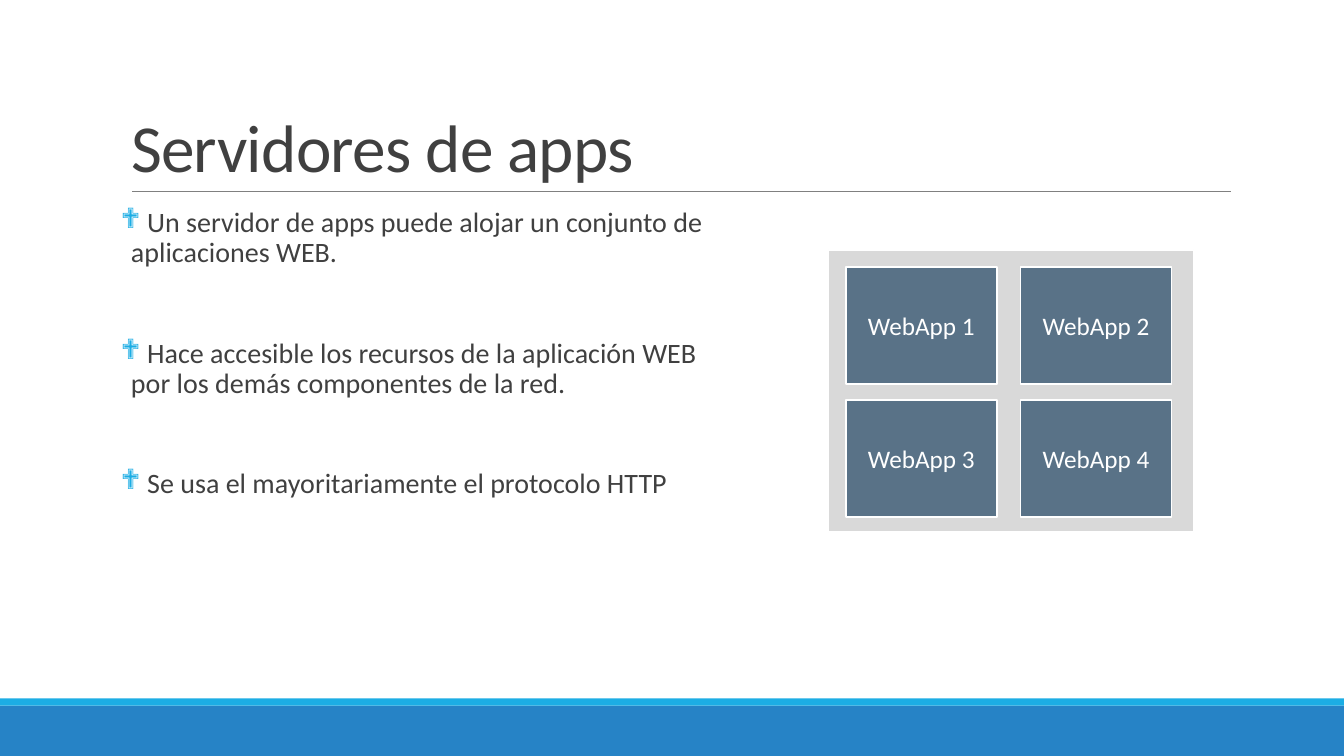
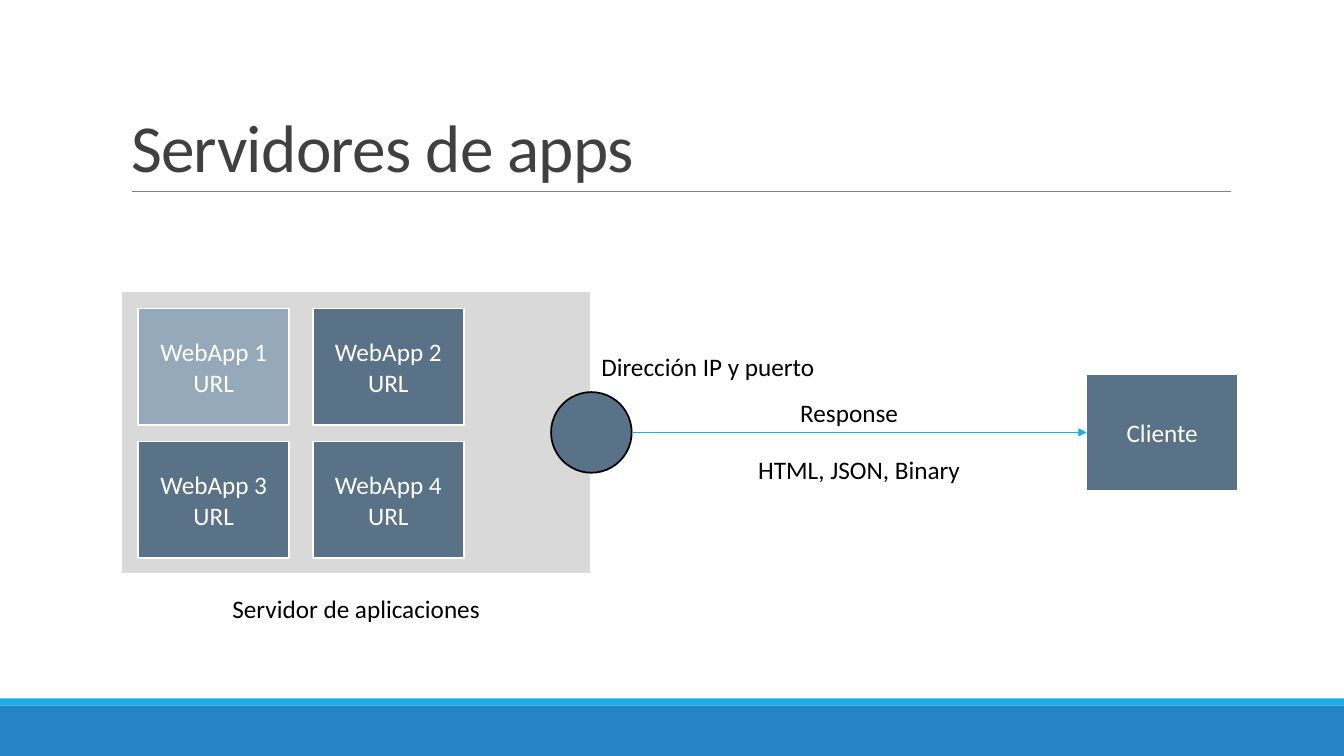
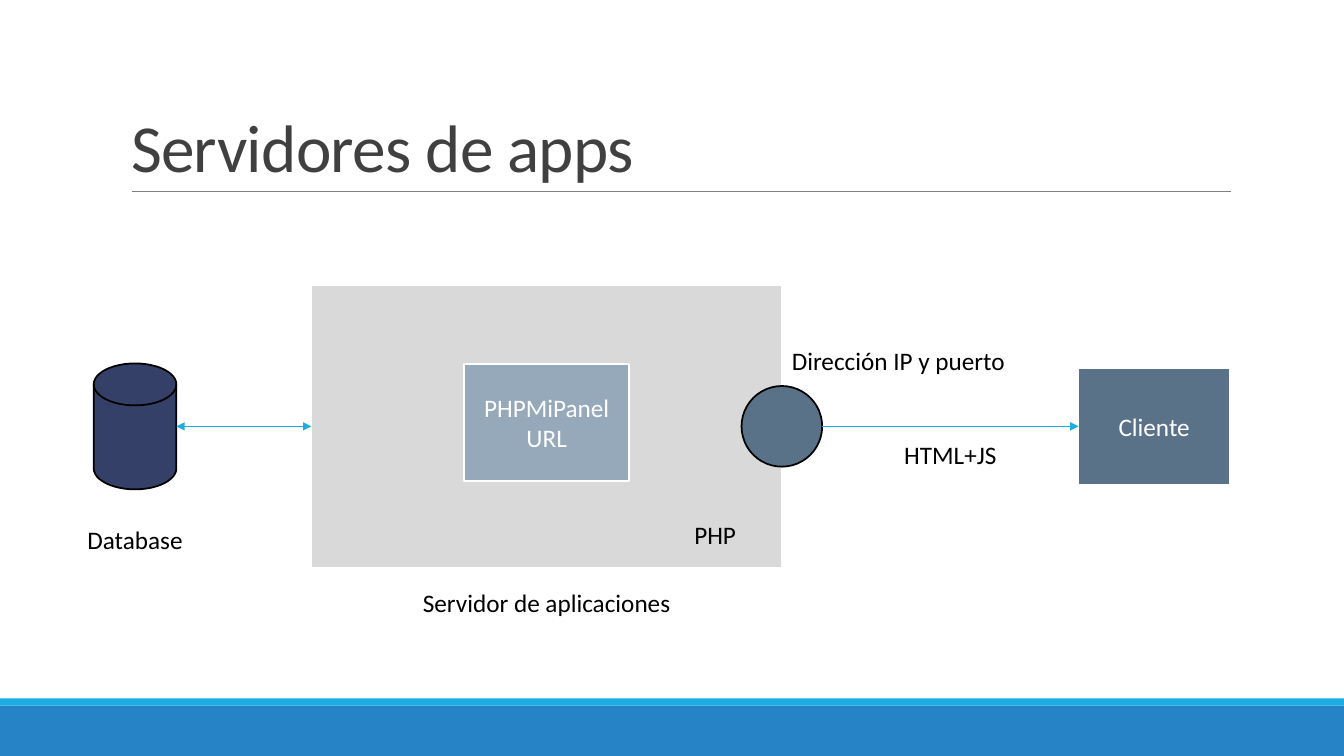
from lxml.etree import SubElement
from pptx import Presentation
from pptx.dml.color import RGBColor
from pptx.enum.shapes import MSO_CONNECTOR, MSO_SHAPE
from pptx.enum.text import MSO_ANCHOR, PP_ALIGN
from pptx.oxml.ns import qn
from pptx.util import Inches, Pt

# Shared grid: 40 columns by 30 rows
SLIDE_WIDTH, SLIDE_HEIGHT = Inches(13.33), Inches(7.5)
COLUMNS, ROWS = 40, 30

# Shared style
FONT = "Calibri"
WHITE, BLACK, DARK_GRAY, RULE_GRAY, PANEL_GRAY = "FFFFFF", "000000", "404040", "808080", "D9D9D9"
BLUE, CYAN, SLATE, LIGHT_SLATE, NAVY = "2683C6", "1CADE4", "597287", "96A9BA", "344068"
TITLE = "Servidores de apps"
TITLE_BOX = (3.6, 1.24, 33, 6.36)

# Shared part sizes, in columns and rows
APP_WIDTH, APP_HEIGHT = 4.5, 4.64
APP_MARGIN = (0.51, 0.68)
APP_PITCH = (5.2, 5.28)
SERVER_WIDTH, SERVER_HEIGHT = 14, 11.2
PORT_WIDTH, PORT_HEIGHT = 2.4, 3.2
LABEL_HEIGHT = 1.6


def color(value):
    return RGBColor.from_string(value)


def x_of(columns):
    return round(SLIDE_WIDTH * columns / COLUMNS)


def y_of(rows):
    return round(SLIDE_HEIGHT * rows / ROWS)


def box(left, top, width, height):
    return x_of(left), y_of(top), x_of(width), y_of(height)


def write_text(shape, text, size=18, ink=BLACK, align=PP_ALIGN.LEFT, anchor=MSO_ANCHOR.TOP,
               wrap=True, line_spacing=None, tracking=None):
    """Fill a shape with one paragraph for each line of text."""
    frame = shape.text_frame
    frame.word_wrap = wrap
    frame.vertical_anchor = anchor
    frame.text = text
    for paragraph in frame.paragraphs:
        paragraph.alignment = align
        if line_spacing:
            paragraph.line_spacing = line_spacing
        for run in paragraph.runs:
            run.font.name = FONT
            run.font.size = Pt(size)
            run.font.color.rgb = color(ink)
            if tracking:
                run.font._element.set("spc", str(tracking))
    return frame


def add_block(slide, place, fill, line=WHITE, text=None, kind=MSO_SHAPE.RECTANGLE):
    shape = slide.shapes.add_shape(kind, *box(*place))
    shape.shadow.inherit = False
    shape.fill.solid()
    shape.fill.fore_color.rgb = color(fill)
    if line:
        shape.line.color.rgb = color(line)
        shape.line.width = Pt(1.25)
    else:
        shape.line.fill.background()
    if text:
        write_text(shape, text, ink=WHITE, align=PP_ALIGN.CENTER, anchor=MSO_ANCHOR.MIDDLE)
    return shape


def add_label(slide, place, text, **text_format):
    label = slide.shapes.add_textbox(*box(*place))
    write_text(label, text, **text_format)
    return label


def add_centered_label(slide, center, top, width, text, **text_format):
    place = (center - width / 2, top, width, LABEL_HEIGHT)
    return add_label(slide, place, text, align=PP_ALIGN.CENTER, **text_format)


def add_line(slide, start, end, row, ink=CYAN, width=1, arrows=()):
    line = slide.shapes.add_connector(MSO_CONNECTOR.STRAIGHT, x_of(start), y_of(row),
                                      x_of(end), y_of(row))
    line.line.color.rgb = color(ink)
    line.line.width = Pt(width)
    outline = line.line._get_or_add_ln()
    for arrow in arrows:
        SubElement(outline, qn(f"a:{arrow}")).set("type", "triangle")
    SubElement(line._element.spPr, qn("a:effectLst"))


def add_titled_slide(presentation):
    slide = presentation.slides.add_slide(presentation.slide_layouts[5])
    # Bottom bands and title rule
    add_block(slide, (0, 28, COLUMNS, 2), BLUE, line=None)
    add_block(slide, (0, 27.72, COLUMNS, 0.28), CYAN, line=None)
    add_line(slide, 3.93, 36.63, 7.6, ink=RULE_GRAY, width=0.5)
    # Title
    title = slide.shapes.title
    title.left, title.top, title.width, title.height = box(*TITLE_BOX)
    write_text(title, TITLE, size=48, ink=DARK_GRAY, anchor=MSO_ANCHOR.BOTTOM,
               line_spacing=0.85, tracking=-50)
    return slide


def add_bullets(slide, place, items):
    body = add_label(slide, place, "\n".join(items), size=20, ink=DARK_GRAY, line_spacing=0.9)
    frame = body.text_frame
    frame.margin_left = frame.margin_right = 0
    for index, paragraph in enumerate(frame.paragraphs):
        paragraph.space_before = Pt(48 if index else 0)
        paragraph.space_after = Pt(2)
        properties = paragraph._p.get_or_add_pPr()
        properties.set("marL", str(Inches(0.1)))
        properties.set("indent", str(-Inches(0.1)))
        bullet_color = SubElement(properties, qn("a:buClr"))
        SubElement(bullet_color, qn("a:srgbClr")).set("val", CYAN)
        SubElement(properties, qn("a:buFont")).set("typeface", "Wingdings")
        SubElement(properties, qn("a:buChar")).set("char", "❖")


def add_app_grid(slide, left, top, suffix="", highlighted=None):
    """Two by two web apps inside the server at left, top."""
    for index in range(4):
        row, column = divmod(index, 2)
        place = (left + APP_MARGIN[0] + column * APP_PITCH[0],
                 top + APP_MARGIN[1] + row * APP_PITCH[1], APP_WIDTH, APP_HEIGHT)
        fill = LIGHT_SLATE if index == highlighted else SLATE
        add_block(slide, place, fill, text=f"WebApp {index + 1}{suffix}")


def add_server_and_client(slide, left, top, client_left, messages):
    """Server with its port, the client and the messages along the arrow.

    Each message is text, shift from the arrow's middle, rows below top, width.
    """
    right = left + SERVER_WIDTH
    middle = top + SERVER_HEIGHT / 2
    port_right = right + PORT_WIDTH / 2
    # Server and port
    add_block(slide, (left, top, SERVER_WIDTH, SERVER_HEIGHT), PANEL_GRAY)
    add_block(slide, (right - PORT_WIDTH / 2, middle - PORT_HEIGHT / 2, PORT_WIDTH, PORT_HEIGHT),
              SLATE, line=BLACK, kind=MSO_SHAPE.OVAL)
    add_label(slide, (right, top + 2.18, 7.56, LABEL_HEIGHT), "Dirección IP y puerto")
    add_centered_label(slide, left + SERVER_WIDTH / 2, top + 11.8, 10.05,
                       "Servidor de aplicaciones")
    # Client and arrow
    add_block(slide, (client_left, middle - APP_HEIGHT / 2, APP_WIDTH, APP_HEIGHT), SLATE,
              text="Cliente")
    add_line(slide, port_right, client_left, middle, arrows=["tailEnd"])
    for text, shift, row, width in messages:
        add_centered_label(slide, (port_right + client_left) / 2 + shift, top + row, width, text)


def add_database(slide, center, middle, server_left):
    width, height = 2.46, 5
    add_block(slide, (center - width / 2, middle - height / 2, width, height), NAVY, line=BLACK,
              kind=MSO_SHAPE.FLOWCHART_MAGNETIC_DISK)
    add_centered_label(slide, center, middle + 3.68, 3.48, "Database", wrap=False)
    add_line(slide, server_left, center + width / 2, middle, arrows=["headEnd", "tailEnd"])


def build_overview(presentation):
    slide = add_titled_slide(presentation)
    add_bullets(slide, (3.6, 8.08, 17.43, 17.6), [
        " Un servidor de apps puede alojar un conjunto de aplicaciones WEB.",
        " Hace accesible los recursos de la aplicación WEB por los demás componentes de la red.",
        " Se usa el mayoritariamente el protocolo HTTP",
    ])
    left, top = 24.66, 9.92
    add_block(slide, (left, top, 10.86, SERVER_HEIGHT), PANEL_GRAY)
    add_app_grid(slide, left, top)


def build_response(presentation):
    slide = add_titled_slide(presentation)
    left, top = 3.6, 11.56
    add_server_and_client(slide, left, top, 32.34, [
        ("Response", -0.3, 4, 10.05),
        ("HTML, JSON, Binary", 0, 6.28, 11.79),
    ])
    add_app_grid(slide, left, top, suffix="\nURL", highlighted=0)


def build_database_app(presentation):
    slide = add_titled_slide(presentation)
    left, top = 9.27, 11.32
    add_server_and_client(slide, left, top, 32.1, [("HTML+JS", 0, 5.92, 8.52)])
    app_width = 4.92
    add_block(slide, (left + (SERVER_WIDTH - app_width) / 2, top + 3.12, app_width, APP_HEIGHT),
              LIGHT_SLATE, text="PHPMiPanel\nURL")
    add_label(slide, (left + 11.1, top + 9.08, 2.1, LABEL_HEIGHT), "PHP")
    add_database(slide, 4.02, top + SERVER_HEIGHT / 2, left)


def main():
    presentation = Presentation()
    presentation.slide_width, presentation.slide_height = SLIDE_WIDTH, SLIDE_HEIGHT
    build_overview(presentation)
    build_response(presentation)
    build_database_app(presentation)
    presentation.save("out.pptx")


if __name__ == "__main__":
    main()
